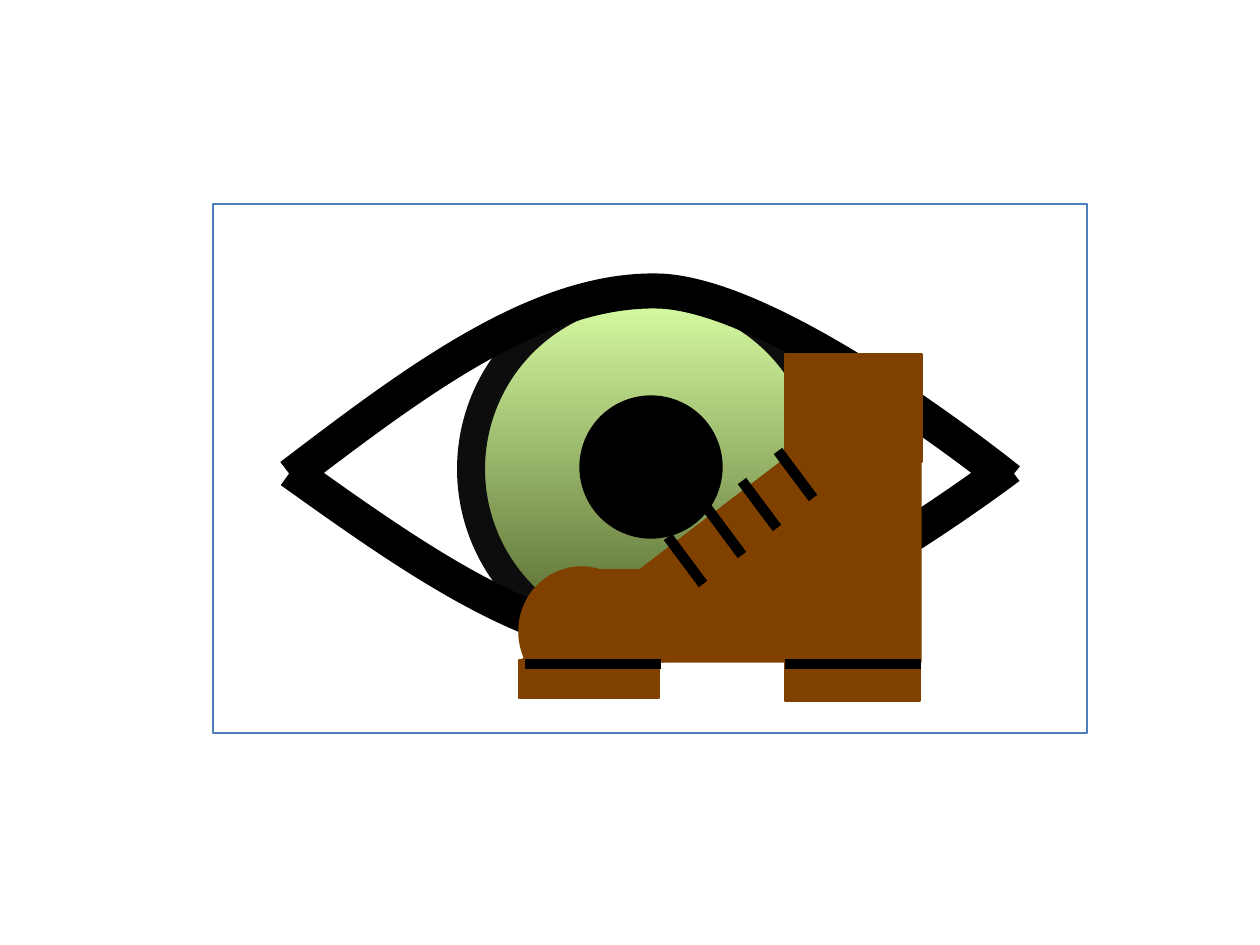
"""Build a slide with a framed green eye and a brown laced boot."""
from lxml import etree
from pptx import Presentation
from pptx.dml.color import RGBColor
from pptx.enum.shapes import MSO_CONNECTOR, MSO_SHAPE
from pptx.oxml.ns import qn
from pptx.util import Pt

OVAL, RECT, TRIANGLE = MSO_SHAPE.OVAL, MSO_SHAPE.RECTANGLE, MSO_SHAPE.RIGHT_TRIANGLE
STRAIGHT = MSO_CONNECTOR.STRAIGHT
SCALE = 914400 / 126
COLORS = {
    "black": "000000",
    "rim": "0D0D0D",
    "iris dark": "4F6228",
    "iris light": "DAFFA5",
    "frame": "4B7EBC",
    "leather": "804000",
}


def px(*lengths):
    return [round(length * SCALE) for length in lengths]


def paint(shape, fill, line, width):
    shape.shadow.inherit = False
    if fill:
        shape.fill.solid()
        shape.fill.fore_color.rgb = RGBColor.from_string(COLORS[fill])
    else:
        shape.fill.background()
    shape.line.color.rgb = RGBColor.from_string(COLORS[line])
    shape.line.width = Pt(width)


prs = Presentation()
prs.slide_width, prs.slide_height = px(1260, 945)
slide = prs.slides.add_slide(prs.slide_layouts[6])

iris = slide.shapes.add_shape(OVAL, *px(471, 290, 358, 358))
paint(iris, None, "rim", 16)
iris.fill.gradient()
iris.fill.gradient_angle = 90
for stop, color in zip(iris.fill.gradient_stops, ("iris dark", "iris light")):
    stop.color.rgb = RGBColor.from_string(COLORS[color])

pupil = slide.shapes.add_shape(OVAL, *px(580, 396, 142, 142))
paint(pupil, "black", "black", 0.75)

eyelids = [
    [(291, 476), (413, 383), (536, 290), (655, 291), (775, 291), (1009, 480), (1009, 480)],
    [(291, 471), (413, 558), (536, 646), (655, 645), (775, 645), (1009, 467), (1009, 467)],
]
for start, *controls in eyelids:
    builder = slide.shapes.build_freeform(*start, scale=SCALE)
    builder.add_line_segments(controls, close=False)
    eyelid = builder.convert_to_shape()
    paint(eyelid, None, "black", 20)
    segments = list(eyelid._element.iter(qn("a:lnTo")))
    for first in range(0, len(segments), 3):
        curve = etree.SubElement(segments[first].getparent(), qn("a:cubicBezTo"))
        for segment in segments[first:first + 3]:
            curve.append(segment[0])
            segment.getparent().remove(segment)

frame = slide.shapes.add_shape(RECT, *px(213, 204, 874, 529))
paint(frame, None, "frame", 0.75)

boot = slide.shapes.add_group_shape()
boot_parts = {
    "body": (TRIANGLE, 519, 355, 402, 307),
    "heel": (RECT, 785, 663, 135, 38),
    "shaft": (RECT, 785, 354, 137, 108),
    "toe": (OVAL, 519, 567, 125, 129),
    "sole": (RECT, 519, 660, 140, 38),
    "instep": (RECT, 578, 570, 126, 38),
}
for kind, *box in boot_parts.values():
    part = boot.shapes.add_shape(kind, *px(*box))
    part._element.spPr.xfrm.set("flipH", "1")
    paint(part, "leather", "leather", 0.75)

laces = [(x, y, x + 35, y + 47) for x, y in ((668, 537), (707, 508), (742, 481), (778, 451))]
seams = [(x, 664, x + 136, 664) for x in (525, 785)]
for ends in laces + seams:
    stitch = boot.shapes.add_connector(STRAIGHT, *px(*ends))
    stitch.line.color.rgb = RGBColor.from_string(COLORS["black"])
    stitch.line.width = Pt(6)
    etree.SubElement(stitch._element.spPr, qn("a:effectLst"))

prs.save("out.pptx")
